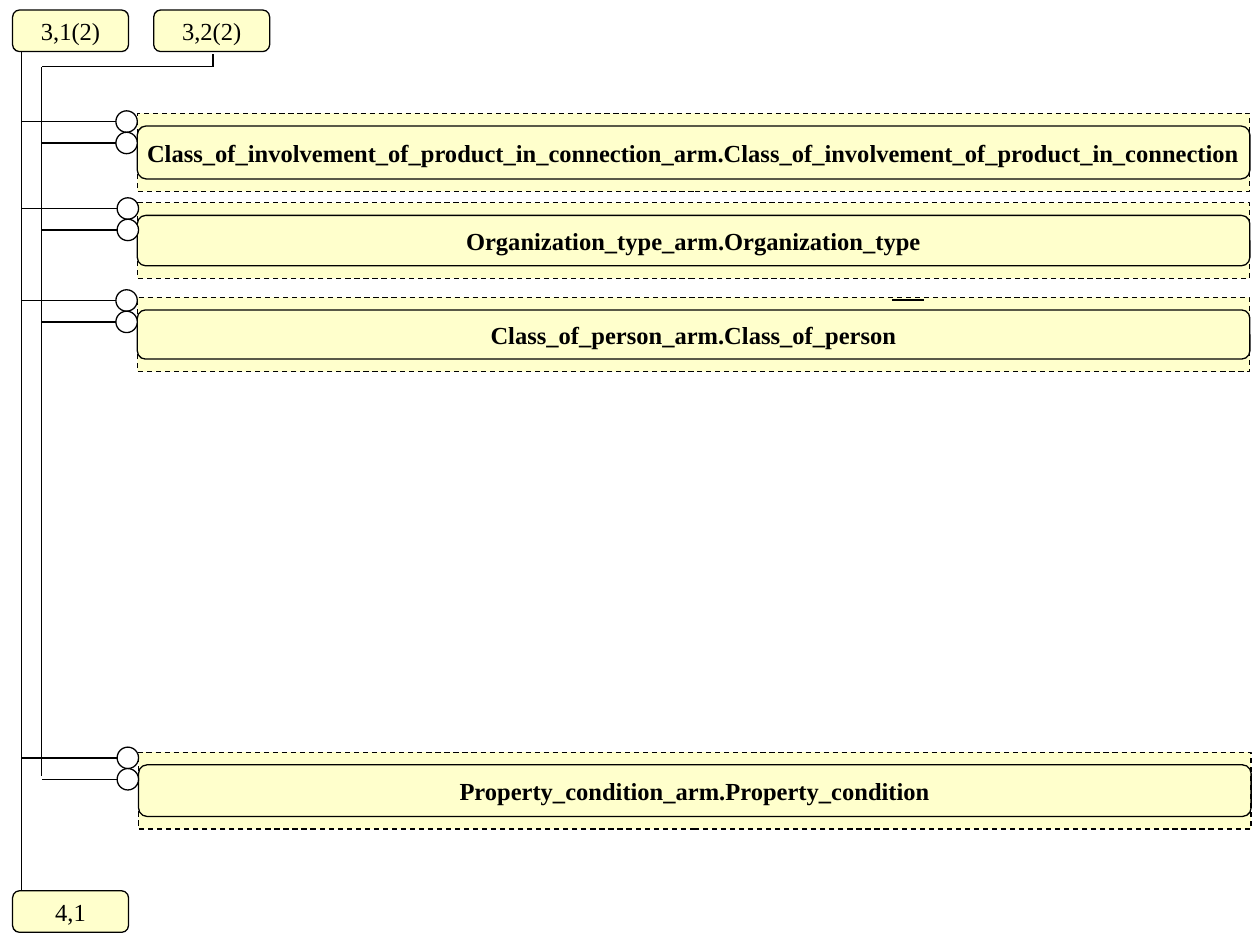
from lxml import etree
from pptx import Presentation
from pptx.dml.color import RGBColor
from pptx.enum.dml import MSO_LINE
from pptx.enum.shapes import MSO_CONNECTOR, MSO_SHAPE
from pptx.enum.text import MSO_ANCHOR, PP_ALIGN
from pptx.oxml.ns import qn
from pptx.util import Inches, Pt

RECT = MSO_SHAPE.RECTANGLE
ROUNDED = MSO_SHAPE.ROUNDED_RECTANGLE
OVAL = MSO_SHAPE.OVAL
STRAIGHT = MSO_CONNECTOR.STRAIGHT
DASH = MSO_LINE.DASH
MIDDLE = MSO_ANCHOR.MIDDLE
CENTER = PP_ALIGN.CENTER

BLACK = RGBColor(0x00, 0x00, 0x00)
WHITE = RGBColor(0xFF, 0xFF, 0xFF)
CREAM = RGBColor(0xFF, 0xFF, 0xCC)

prs = Presentation()
prs.slide_width = Inches(10)
prs.slide_height = Inches(7.5)
slide = prs.slides.add_slide(prs.slide_layouts[6])


def add_node(kind, left, top, width, height, fill=None, label="", bold=False):
    node = slide.shapes.add_shape(
        kind, Inches(left), Inches(top), Inches(width), Inches(height))
    node.shadow.inherit = False
    if fill is None:
        node.fill.background()
    else:
        node.fill.solid()
        node.fill.fore_color.rgb = fill
    node.line.color.rgb = BLACK
    node.line.width = Pt(0.75)
    if label:
        frame = node.text_frame
        frame.word_wrap = False
        frame.vertical_anchor = MIDDLE
        paragraph = frame.paragraphs[0]
        paragraph.alignment = CENTER
        run = paragraph.add_run()
        run.text = label
        run.font.name = "Times New Roman"
        run.font.size = Pt(14)
        run.font.bold = bold
        run.font.color.rgb = BLACK
    return node


def add_line(x1, y1, x2, y2):
    line = slide.shapes.add_connector(
        STRAIGHT, Inches(x1), Inches(y1), Inches(x2), Inches(y2))
    line.line.color.rgb = BLACK
    line.line.width = Pt(0.75)
    etree.SubElement(line._element.spPr, qn("a:effectLst"))


CIRCLE = 0.17
ENTITY_WIDTH = 8.83
INSET = 0.1

entities = [
    ("Class_of_involvement_of_product_in_connection_arm.Class_of_involvement_of_product_in_connection",
     1.09, 0.9, 0.62, 0.92, 0.88),
    ("Organization_type_arm.Organization_type", 1.09, 1.61, 0.6, 0.93, 1.57),
    ("Class_of_person_arm.Class_of_person", 1.09, 2.36, 0.59, 0.92, 2.3),
    ("Property_condition_arm.Property_condition", 1.1, 5.97, 0.61, 0.93, 5.93),
]

for name, left, top, height, circle_left, circle_top in entities:
    frame_box = add_node(RECT, left, top, ENTITY_WIDTH, height, CREAM, name, True)
    frame_box.line.dash_style = DASH
    add_node(ROUNDED, left, top + INSET, ENTITY_WIDTH, height - 2 * INSET)
    for index, trunk_x in enumerate((0.17, 0.33)):
        y = circle_top + index * CIRCLE
        add_node(OVAL, circle_left, y, CIRCLE, CIRCLE, WHITE)
        add_line(circle_left, y + CIRCLE / 2, trunk_x, y + CIRCLE / 2)

for x1, y1, x2, y2 in [
    (0.17, 7.06, 0.17, 0.41),
    (0.33, 6.16, 0.33, 0.53),
    (1.69, 0.43, 1.69, 0.53),
    (1.69, 0.53, 0.33, 0.53),
    (7.33, 2.38, 7.08, 2.38),
]:
    add_line(x1, y1, x2, y2)

for reference, left, top in [("4,1", 0.1, 7.07), ("3,2(2)", 1.22, 0.08), ("3,1(2)", 0.1, 0.08)]:
    add_node(ROUNDED, left, top, 0.92, 0.33, CREAM, reference)

prs.save("out.pptx")
